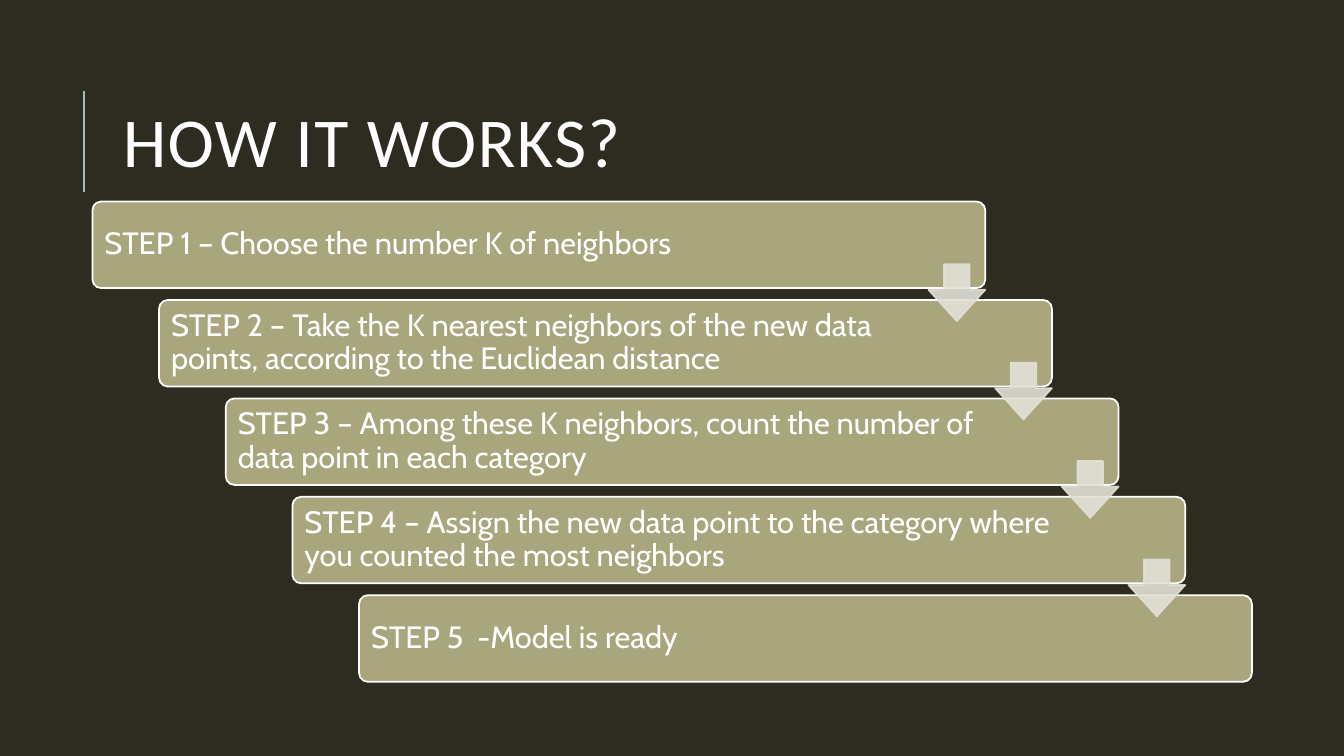
from lxml.etree import SubElement
from pptx import Presentation
from pptx.dml.color import RGBColor
from pptx.enum.shapes import MSO_CONNECTOR, MSO_SHAPE
from pptx.enum.text import MSO_ANCHOR, MSO_AUTO_SIZE, PP_ALIGN
from pptx.oxml.ns import qn
from pptx.util import Cm, Pt


def paint(color_format, hex_color, opacity=100):
    color_format.rgb = RGBColor.from_string(hex_color)
    if opacity < 100:
        for color in color_format._xFill.iter(qn("a:srgbClr")):
            SubElement(color, qn("a:alpha"), val=str(opacity * 1000))


def add_block(preset, left, top, width, height, adjustments, fill, outline, opacity=100):
    block = slide.shapes.add_shape(preset, Cm(left), Cm(top), Cm(width), Cm(height))
    block.shadow.inherit = False
    for index, value in enumerate(adjustments):
        block.adjustments[index] = value
    block.fill.solid()
    block.line.fill.solid()
    block.line.width = Pt(1.25)
    for part, hex_color in ((block.fill, fill), (block.line.fill, outline)):
        paint(part.fore_color, hex_color)
        if opacity < 100:
            for color in block.element.spPr.iter(qn("a:srgbClr")):
                if color.find(qn("a:alpha")) is None:
                    SubElement(color, qn("a:alpha"), val=str(opacity * 1000))
    return block


WHITE = "FFFFFF"
STEPS = [
    "STEP 1 – Choose the number K of neighbors",
    "STEP 2 – Take the K nearest neighbors of the new data points, according to the Euclidean distance",
    "STEP 3 – Among these K neighbors, count the number of data point in each category",
    "STEP 4 – Assign the new data point to the category where you counted the most neighbors",
    "STEP 5  -Model is ready",
]
SHIFT_RIGHT = 1.68
SHIFT_DOWN = 2.48

presentation = Presentation()
presentation.slide_width = Cm(33.87)
presentation.slide_height = Cm(19.05)
slide = presentation.slides.add_slide(presentation.slide_layouts[5])
slide.background.fill.solid()
paint(slide.background.fill.fore_color, "2E2B21")

accent = slide.shapes.add_connector(MSO_CONNECTOR.STRAIGHT, Cm(2.11), Cm(4.83), Cm(2.11), Cm(2.29))
accent.line.width = Pt(1.5)
accent.line.fill.solid()
paint(accent.line.fill.fore_color, "9CBEBD")
SubElement(accent.element.spPr, qn("a:effectLst"))

title = slide.shapes.title
title.left, title.top, title.width, title.height = Cm(2.84), Cm(1.63), Cm(27), Cm(4.17)
title.text_frame.text = "HOW IT WORKS?"
title.text_frame.auto_size = MSO_AUTO_SIZE.NONE
title.text_frame.vertical_anchor = MSO_ANCHOR.MIDDLE
heading = title.text_frame.paragraphs[0]
heading.alignment = PP_ALIGN.LEFT
heading.line_spacing = 0.8
heading.font.name = "Calibri"
heading.font.size = Pt(50)
paint(heading.font.fill.fore_color if heading.font.fill.type else heading.font.color, WHITE)
heading.runs[0].font._element.set("spc", "100")

for number, wording in enumerate(STEPS):
    step = add_block(MSO_SHAPE.ROUNDED_RECTANGLE, 2.33 + number * SHIFT_RIGHT, 5.08 + number * SHIFT_DOWN,
                     22.5, 2.18, [0.1], "A9A57C", WHITE)
    frame = step.text_frame
    frame.text = wording
    frame.word_wrap = True
    frame.vertical_anchor = MSO_ANCHOR.MIDDLE
    frame.margin_left, frame.margin_right = Cm(0.24), Cm(3.35)
    paragraph = frame.paragraphs[0]
    paragraph.alignment = PP_ALIGN.LEFT
    paragraph.line_spacing = 0.9
    paragraph.font.name = "Cabin"
    paragraph.font.size = Pt(22)
    paint(paragraph.font.color, WHITE)

for number in range(len(STEPS) - 1):
    add_block(MSO_SHAPE.DOWN_ARROW, 23.4 + number * SHIFT_RIGHT, 6.66 + number * SHIFT_DOWN,
              1.43, 1.43, [0.45, 0.55], "E2E1D7", "E2E1D7", 90)

presentation.save("out.pptx")
